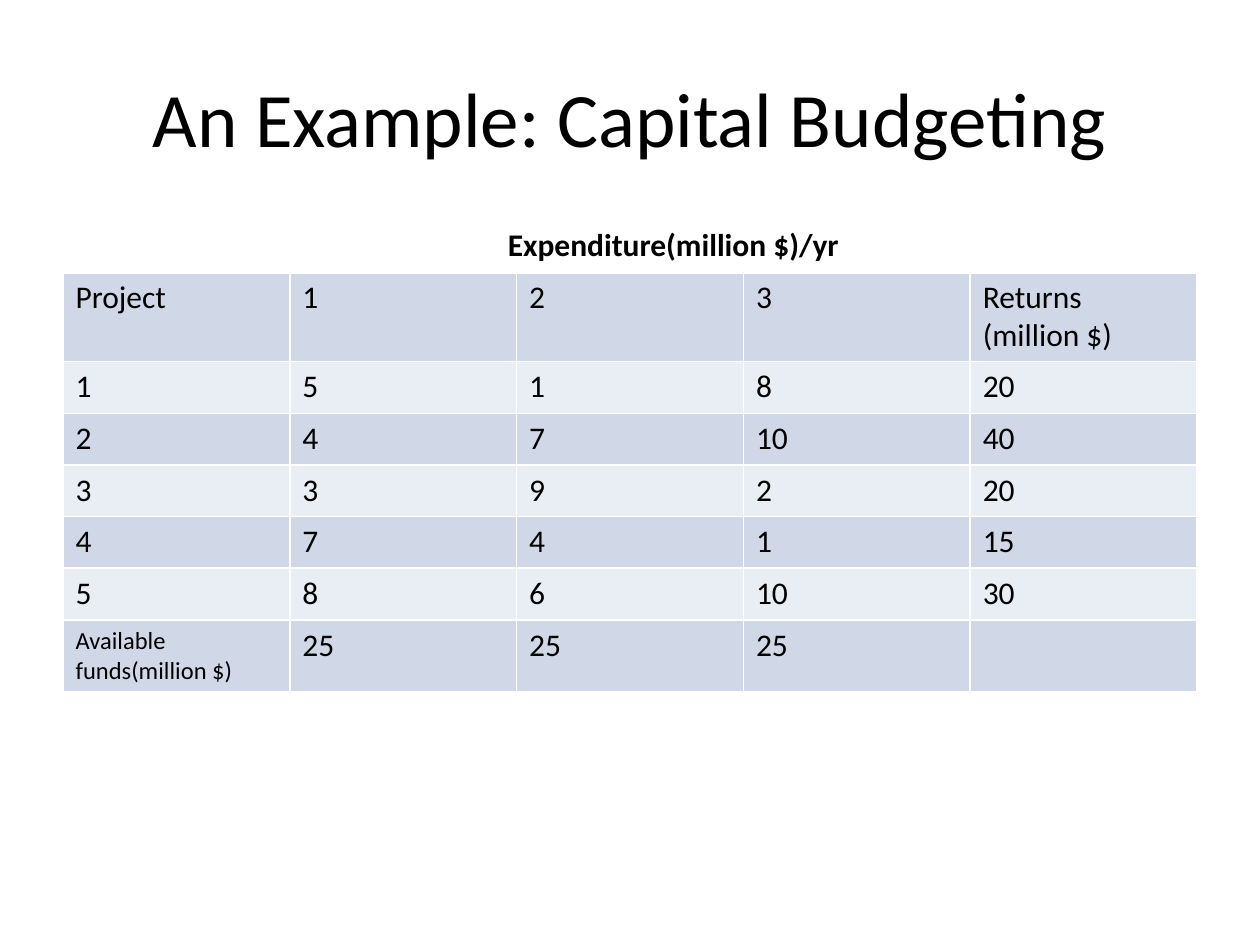
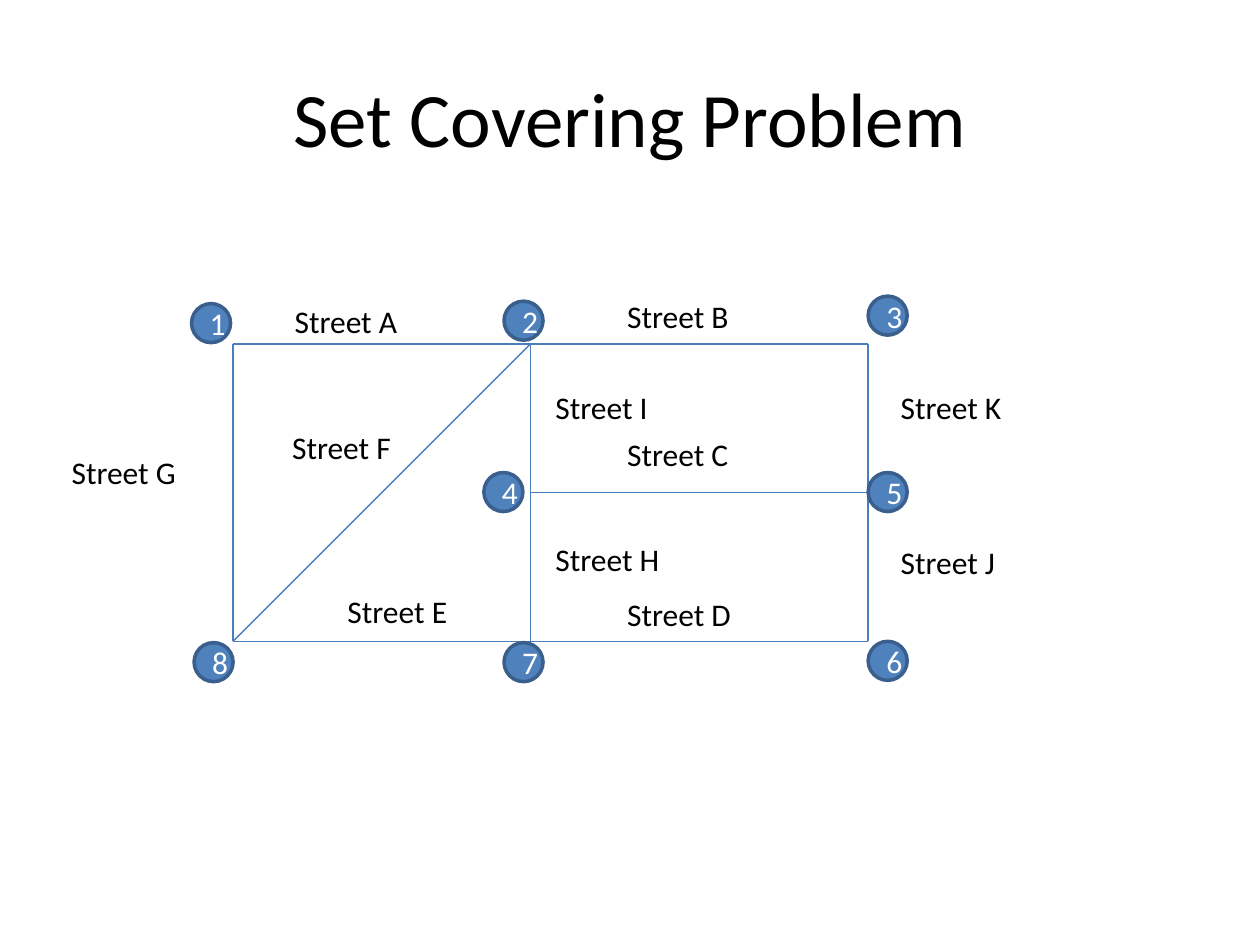
"""Build two slides: a capital budgeting table and a street map for set covering."""
from lxml import etree
from pptx import Presentation
from pptx import util as u
from pptx.dml.color import RGBColor
from pptx.enum import shapes, text
from pptx.oxml import ns

BLACK = RGBColor(0x00, 0x00, 0x00)
WHITE = RGBColor(0xFF, 0xFF, 0xFF)
BAND_DARK = RGBColor(0xD0, 0xD8, 0xE8)
BAND_LIGHT = RGBColor(0xE9, 0xED, 0xF4)
STREET_BLUE = RGBColor(0x4B, 0x7E, 0xBC)
NODE_BLUE = RGBColor(0x4F, 0x81, 0xBD)
NODE_EDGE = RGBColor(0x3A, 0x5F, 0x8C)
FONT = "Calibri"


def add_span(para, words, size=18, color=BLACK, bold=False):
    span = para.add_run()
    span.text = words
    span.font.name = FONT
    span.font.size = u.Pt(size)
    span.font.color.rgb = color
    span.font.bold = bold


def add_titled_page(title):
    page = deck.slides.add_slide(deck.slide_layouts[5])
    box = page.shapes.title
    box.left, box.top = u.Inches(0.5), u.Inches(0.3)
    box.width, box.height = u.Inches(9), u.Inches(1.25)
    box.text_frame.vertical_anchor = text.MSO_ANCHOR.MIDDLE
    para = box.text_frame.paragraphs[0]
    para.alignment = text.PP_ALIGN.CENTER
    add_span(para, title, 44)
    return page


deck = Presentation()
deck.slide_width, deck.slide_height = u.Inches(10), u.Inches(7.5)

budget_page = add_titled_page("An Example: Capital Budgeting")
budget_rows = [
    ["", "Expenditure(million $)/yr", "", "", ""],
    ["Project", "1", "2", "3", "Returns (million $)"],
    ["1", "5", "1", "8", "20"],
    ["2", "4", "7", "10", "40"],
    ["3", "3", "9", "2", "20"],
    ["4", "7", "4", "1", "15"],
    ["5", "8", "6", "10", "30"],
    ["Available funds(million $)", "25", "25", "25", ""],
]
row_heights = [0.41, 0.69] + [0.41] * 5 + [0.57]
table = budget_page.shapes.add_table(
    len(budget_rows), 5, u.Inches(0.5), u.Inches(1.75), u.Inches(9), u.Inches(sum(row_heights))
).table
table.first_row = table.horz_banding = False
for row, height in zip(table.rows, row_heights):
    row.height = u.Inches(height)

for row_index, values in enumerate(budget_rows):
    for column_index, value in enumerate(values):
        cell = table.cell(row_index, column_index)
        properties = cell._tc.get_or_add_tcPr()
        for side in ("lnL", "lnR", "lnT", "lnB"):
            under_heading = (row_index, side) in ((0, "lnB"), (1, "lnT"))
            border = etree.SubElement(properties, ns.qn(f"a:{side}"), w=str(u.Pt(3 if under_heading else 1)))
            fill = etree.SubElement(border, ns.qn("a:solidFill"))
            etree.SubElement(fill, ns.qn("a:srgbClr"), val=str(WHITE))
        if row_index == 0:
            cell.fill.background()
        else:
            cell.fill.solid()
            cell.fill.fore_color.rgb = BAND_DARK if row_index % 2 else BAND_LIGHT
        if value:
            size = 14 if value.startswith("Available") else 18
            add_span(cell.text_frame.paragraphs[0], value, size, bold=row_index == 0)
heading = table.cell(0, 1)
heading.merge(table.cell(0, 4))
heading.margin_left = u.Inches(1.73)

map_page = add_titled_page("Set Covering Problem")
west, middle, east = 1.85, 4.21, 6.89
north, center, south = 2.73, 3.91, 5.09
streets = [
    (west, north, east, north),
    (west, north, west, south),
    (west, south, east, south),
    (east, south, east, north),
    (middle, north, west, south),
    (middle, north, middle, south),
    (east, center, middle, center),
]
for ends in streets:
    street = map_page.shapes.add_connector(
        shapes.MSO_CONNECTOR.STRAIGHT, *(u.Inches(value) for value in ends)
    )
    street.line.color.rgb = STREET_BLUE
    street.line.width = u.Pt(0.75)
    etree.SubElement(street._element.spPr, ns.qn("a:effectLst"))

node_places = [
    (1.52, 2.41), (4, 2.39), (6.89, 2.35), (3.84, 3.75),
    (6.89, 3.75), (6.89, 5.09), (4, 5.1), (1.54, 5.1),
]
for number, (left, top) in enumerate(node_places, 1):
    node = map_page.shapes.add_shape(
        shapes.MSO_SHAPE.OVAL, u.Inches(left), u.Inches(top), u.Inches(0.31), u.Inches(0.31)
    )
    node.shadow.inherit = False
    node.fill.solid()
    node.fill.fore_color.rgb = NODE_BLUE
    node.line.color.rgb = NODE_EDGE
    node.line.width = u.Pt(2)
    node.text_frame.vertical_anchor = text.MSO_ANCHOR.MIDDLE
    para = node.text_frame.paragraphs[0]
    para.alignment = text.PP_ALIGN.CENTER
    add_span(para, str(number), color=WHITE)

label_places = {
    "A": (2.24, 2.35), "B": (4.88, 2.31), "C": (4.88, 3.4), "D": (4.88, 4.67),
    "E": (2.66, 4.65), "G": (0.47, 3.55), "F": (2.22, 3.35), "I": (4.31, 3.03),
    "H": (4.31, 4.24), "K": (7.05, 3.03), "J": (7.05, 4.26),
}
for letter, (left, top) in label_places.items():
    box = map_page.shapes.add_textbox(u.Inches(left), u.Inches(top), u.Inches(1.34), u.Inches(0.4))
    box.text_frame.word_wrap = True
    box.text_frame.auto_size = text.MSO_AUTO_SIZE.SHAPE_TO_FIT_TEXT
    add_span(box.text_frame.paragraphs[0], f"Street {letter}")

deck.save("out.pptx")
